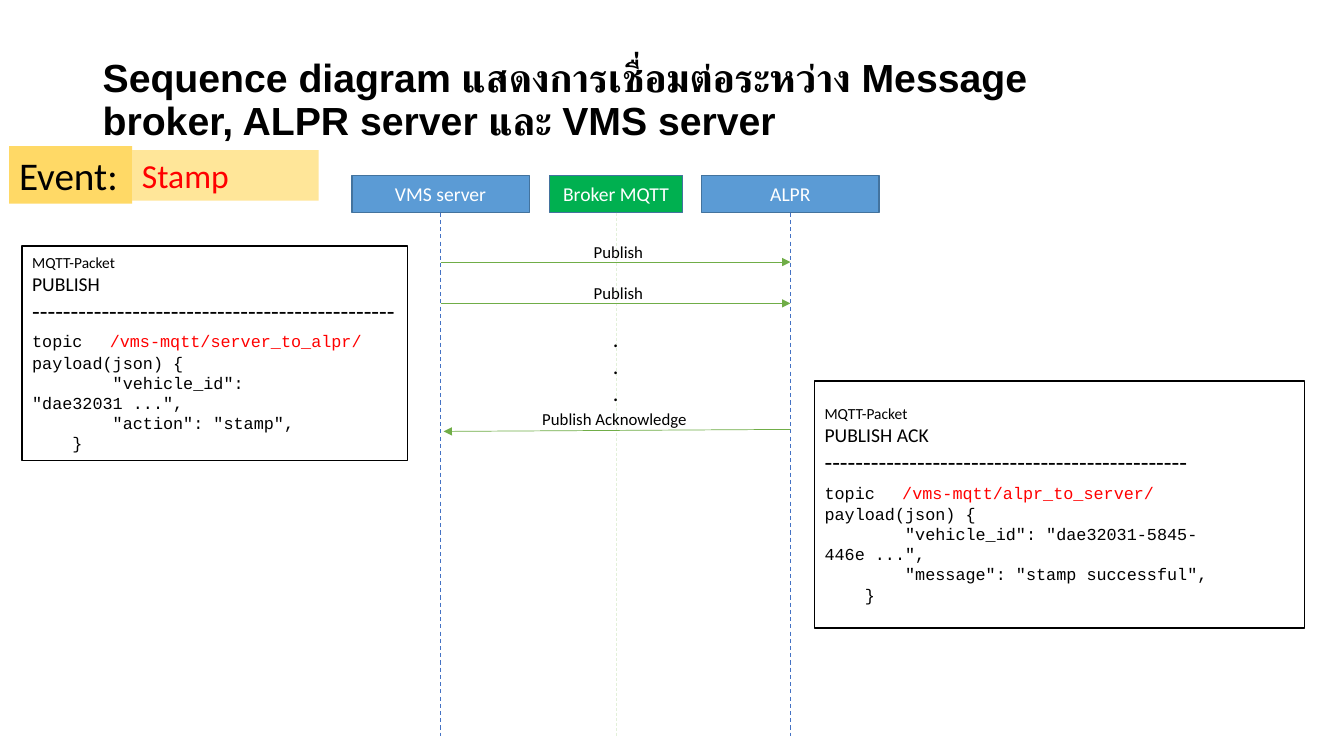
from lxml.etree import SubElement
from pptx import Presentation
from pptx.dml.color import RGBColor
from pptx.enum.dml import MSO_LINE
from pptx.enum.shapes import MSO_CONNECTOR, MSO_SHAPE
from pptx.enum.text import MSO_ANCHOR as ANCHOR, PP_ALIGN as ALIGN
from pptx.oxml.ns import qn
from pptx.util import Pt

SCALE = 9144
COLORS = {
    "black": "000000", "white": "FFFFFF", "red": "FF0000",
    "server": "5B9BD5", "broker": "00B050", "border": "43739E",
    "lifeline": "4472C4", "broker_lifeline": "E2F0D9", "message": "70AD47",
    "event": "FFD966", "event_name": "FFE699",
}
TITLE = "Sequence diagram แสดงการเชื่อมต่อระหว่าง Message broker, ALPR server และ VMS server"
BODY, CODE = "Calibri", "Courier New"


def px(value):
    """Turn a length in px into EMU."""
    return round(value * SCALE)


def color(name):
    """Look up a named colour."""
    return RGBColor.from_string(COLORS[name])


def write_text(frame, paragraphs, size=12, font=BODY, fill="black", bold=False,
               align=ALIGN.LEFT, anchor=ANCHOR.TOP, wrap=True, spacing=None, tab=None):
    """Write paragraphs, each a string or a list of (text, format) runs."""
    frame.word_wrap = wrap
    frame.vertical_anchor = anchor
    for index, content in enumerate(paragraphs):
        paragraph = frame.paragraphs[0] if index == 0 else frame.add_paragraph()
        paragraph.alignment = align
        if spacing:
            paragraph.line_spacing = spacing
        if tab:
            tabs = SubElement(paragraph._p.get_or_add_pPr(), qn("a:tabLst"))
            SubElement(tabs, qn("a:tab"), pos=str(px(tab)), algn="l")
        runs = [(content, {})] if isinstance(content, str) else content
        for text, style in runs:
            run = paragraph.add_run()
            run.text = text
            run.font.name = style.get("font", font)
            run.font.size = Pt(style.get("size", size))
            run.font.bold = bold
            run.font.color.rgb = color(style.get("fill", fill))


def add_label(slide, box, paragraphs, **style):
    """Add a text box in the given box."""
    shape = slide.shapes.add_textbox(*map(px, box))
    write_text(shape.text_frame, paragraphs, **style)


def add_box(slide, box, paragraphs, background, border=None, **style):
    """Add a filled rectangle with text."""
    shape = slide.shapes.add_shape(MSO_SHAPE.RECTANGLE, *map(px, box))
    shape.shadow.inherit = False
    shape.fill.solid()
    shape.fill.fore_color.rgb = color(background)
    if border:
        shape.line.color.rgb = color(border)
        shape.line.width = Pt(1)
    else:
        shape.line.fill.background()
    write_text(shape.text_frame, paragraphs, **style)
    return shape


def add_line(slide, start, end, stroke, width):
    """Add a straight connector without a shadow."""
    line = slide.shapes.add_connector(MSO_CONNECTOR.STRAIGHT, *map(px, start + end))
    line.line.color.rgb = color(stroke)
    line.line.width = Pt(width)
    SubElement(line._element.spPr, qn("a:effectLst"))
    return line


def add_participant(slide, box, name, background, stroke, width):
    """Add a participant with its dashed lifeline and return the lifeline's x."""
    left, top, box_width, height = box
    center = left + box_width // 2
    header = add_box(slide, box, [name], background, "border", size=14, fill="white",
                     align=ALIGN.CENTER, anchor=ANCHOR.MIDDLE)
    lifeline = add_line(slide, (center, top + height), (center, 730), stroke, width)
    lifeline.begin_connect(header, 2)
    lifeline.line.dash_style = MSO_LINE.DASH
    return center


def add_message(slide, start, end, text, label_left, label_width):
    """Add a message arrow with its label just above."""
    arrow = add_line(slide, start, end, "message", 0.5)
    SubElement(arrow.line._get_or_add_ln(), qn("a:tailEnd"), type="triangle")
    add_label(slide, (label_left, start[1] - 25, label_width, 30), [text], wrap=False)


def add_packet(slide, box, kind, topic, fields):
    """Add a packet panel with its heading, topic and payload."""
    heading = [[("MQTT-Packet", {"size": 11})], [(kind, {"size": 14})],
               [("-" * 47, {"size": 18})]]
    topic_line = [("topic", {"font": CODE}), ("\t", {"font": CODE, "size": 16}),
                  (topic, {"font": CODE, "fill": "red"})]
    payload = ["payload(json) {", *(" " * 8 + field for field in fields), "    }"]
    code = [[(line, {"font": CODE})] for line in payload]
    add_box(slide, box, [*heading, topic_line, *code], "white", "black",
            anchor=ANCHOR.MIDDLE, tab=77)


def add_event(slide, box):
    """Add the event tag and its name."""
    left, top, width, height = box
    add_box(slide, (left, top, 122, height), ["Event:"], "event", size=28)
    add_box(slide, (left + 122, top + 4, width - 122, height - 7), ["Stamp"],
            "event_name", size=24, fill="red")


def add_sequence(slide, box):
    """Add the participants and the messages between them."""
    left, top, width, height = box
    server = add_participant(slide, (left, top, 176, height), "VMS server",
                             "server", "lifeline", 0.75)
    alpr = add_participant(slide, (left + width - 176, top, 176, height), "ALPR",
                           "server", "lifeline", 0.75)
    broker = add_participant(slide, (left + 196, top, 132, height), "Broker MQTT",
                             "broker", "broker_lifeline", 0.5)
    for y in (top + 86, top + 127):
        add_message(slide, (server, y), (alpr, y), "Publish", broker - 32, 70)
    add_label(slide, (broker - 13, top + 144, 26, 91), ["."] * 3, size=16, wrap=False)
    add_message(slide, (alpr, top + 252), (server + 3, top + 254),
                "Publish Acknowledge", broker - 83, 167)


def main():
    """Build and save the slide."""
    presentation = Presentation()
    presentation.slide_width, presentation.slide_height = px(1333), px(750)
    slide = presentation.slides.add_slide(presentation.slide_layouts[6])
    add_label(slide, (92, 40, 1052, 121), [TITLE], size=28, font="Arial", bold=True,
              anchor=ANCHOR.MIDDLE, spacing=0.9)
    add_sequence(slide, (349, 174, 523, 37))
    add_event(slide, (9, 145, 307, 57))
    add_packet(slide, (22, 244, 382, 213), "PUBLISH", "/vms-mqtt/server_to_alpr/",
               ['"vehicle_id": "dae32031 ...",', '"action": "stamp",'])
    add_packet(slide, (808, 378, 486, 245), "PUBLISH ACK", "/vms-mqtt/alpr_to_server/",
               ['"vehicle_id": "dae32031-5845-446e ...",', '"message": "stamp successful",'])
    presentation.save("out.pptx")


if __name__ == "__main__":
    main()
